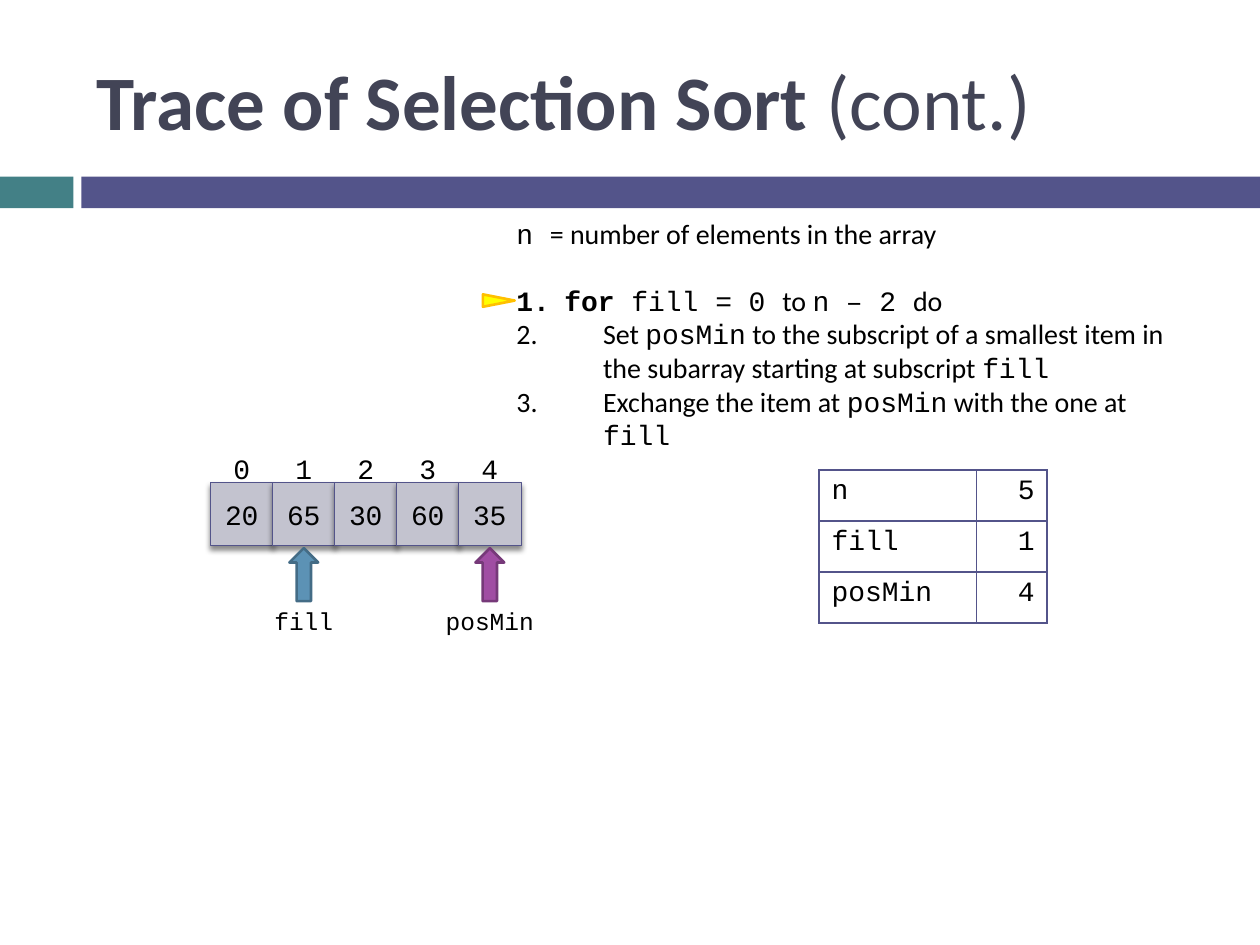
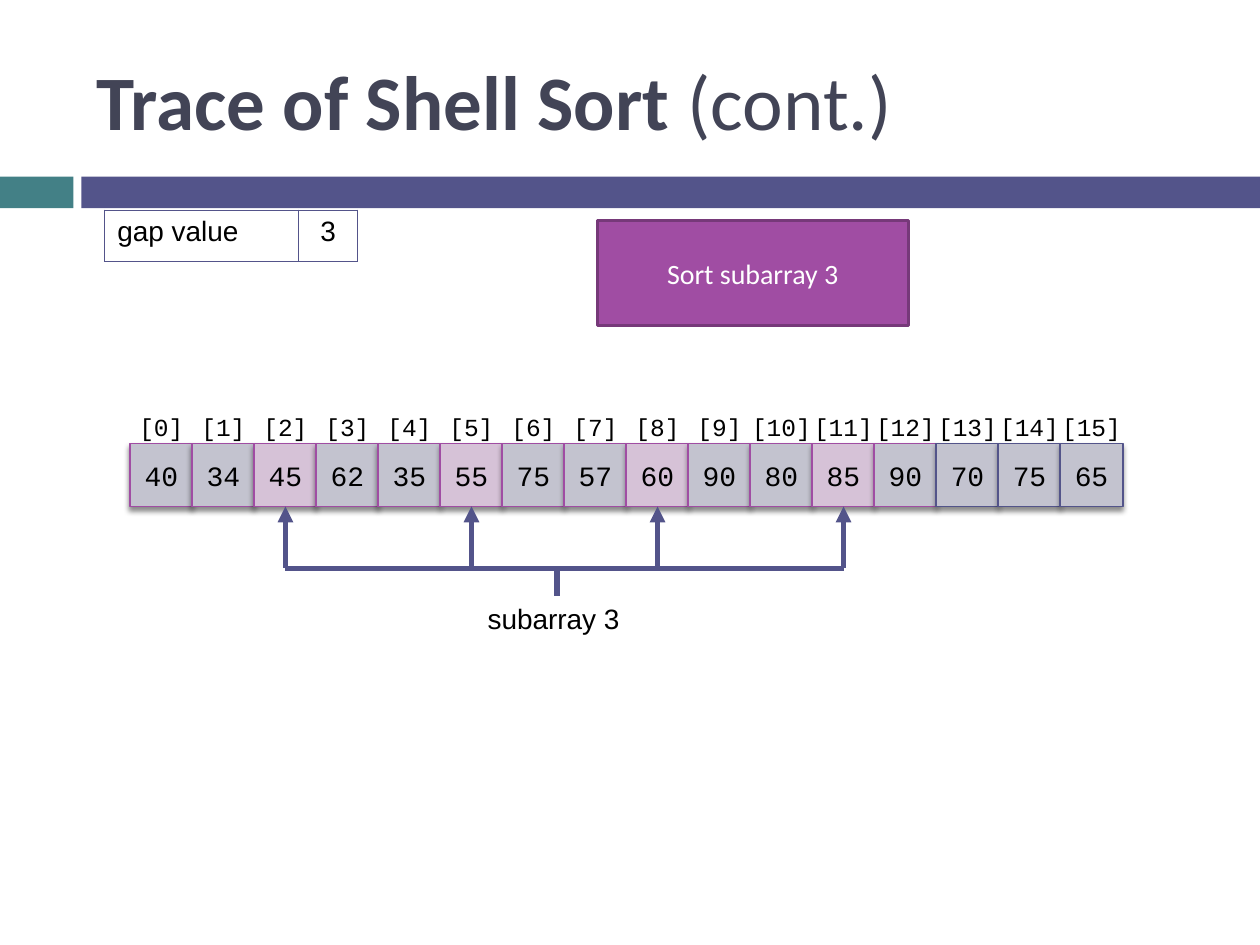
from lxml.etree import SubElement
from pptx import Presentation
from pptx.dml.color import RGBColor
from pptx.enum.shapes import MSO_CONNECTOR, MSO_SHAPE
from pptx.enum.text import MSO_ANCHOR, PP_ALIGN
from pptx.oxml.ns import qn
from pptx.util import Cm, Pt

INK, WHITE, TITLE = "000000", "FFFFFF", "424456"
INDIGO, TEAL, GREY = "53548A", "438086", "C3C3CF"
PURPLE, PLUM, PINK = "A04DA3", "763979", "D6C2D7"
SANS, CODE, ARIAL = "Calibri", "Courier New", "Arial"
LEFT, MID, RIGHT = PP_ALIGN.LEFT, PP_ALIGN.CENTER, PP_ALIGN.RIGHT
SIDE, PITCH = 1.27, 1.25  # array cell size and step, in cm


def color(code):
    return RGBColor.from_string(code)


class Deck:
    def __init__(self):
        self.show = Presentation()
        self.show.slide_width, self.show.slide_height = Cm(25.4), Cm(19.05)
        self.slide = None

    def page(self, title):
        """Start a slide with its bands and title."""
        self.slide = self.show.slides.add_slide(self.show.slide_layouts[6])
        self.shape(MSO_SHAPE.RECTANGLE, 0, 3.56, 1.48, 0.64, TEAL)
        self.shape(MSO_SHAPE.RECTANGLE, 1.64, 3.56, 23.76, 0.64, INDIGO)
        frame = self.box(1.7, 0.64, 22.66, 2.74)
        frame.vertical_anchor = MSO_ANCHOR.MIDDLE
        para = self.style(frame.paragraphs[0], SANS, 44, TITLE)
        self.runs(para, (title + " ", SANS, True), ("(cont.)", SANS, False))

    def style(self, para, face, size=16, ink=INK, align=LEFT):
        para.alignment = align
        font = para.font
        font.size, font.color.rgb = Pt(size), color(ink)
        if face:
            font.name = face
        return para

    def runs(self, para, *parts):
        for text, face, bold in parts:
            run = para.add_run()
            run.text, run.font.name, run.font.bold = text, face, bold

    def box(self, x, y, w, h):
        frame = self.slide.shapes.add_textbox(Cm(x), Cm(y), Cm(w), Cm(h)).text_frame
        frame.word_wrap = True
        return frame

    def label(self, text, x, y, w, face, size=16, align=MID):
        para = self.box(x, y, w, 0.9).paragraphs[0]
        para.text = text
        self.style(para, face, size, align=align)

    def shape(self, kind, x, y, w, h, fill, line=None, width=1.5):
        item = self.slide.shapes.add_shape(kind, Cm(x), Cm(y), Cm(w), Cm(h))
        item.shadow.inherit = False
        item.fill.solid()
        item.fill.fore_color.rgb = color(fill)
        if line:
            item.line.color.rgb, item.line.width = color(line), Pt(width)
        else:
            item.line.fill.background()
        return item

    def block(self, text, face, ink, *args):
        """Draw a rectangle with centred text."""
        item = self.shape(MSO_SHAPE.RECTANGLE, *args)
        frame = item.text_frame
        frame.vertical_anchor = MSO_ANCHOR.MIDDLE
        frame.text = text
        self.style(frame.paragraphs[0], face, 16, ink, MID)
        return item

    def shade(self, item):
        effect = item._element.spPr.find(qn("a:effectLst"))
        outer = SubElement(effect, qn("a:outerShdw"), blurRad="38100",
                           dist="30000", dir="5400000", rotWithShape="0")
        tint = SubElement(outer, qn("a:srgbClr"), val=INK)
        SubElement(tint, qn("a:alpha"), val="45000")

    def array(self, x, y, values, mark, size, looks):
        """Draw a row of cells, each with its index above."""
        cells = []
        for i, value in enumerate(values):
            left = x + i * PITCH
            fill, line = looks(i)
            cell = self.block(str(value), CODE, INK, left, y, SIDE, SIDE, fill, line, 0.79)
            self.shade(cell)
            cells.append(cell)
        for i in range(len(values)):
            mid = x + i * PITCH + SIDE / 2
            self.label(mark.format(i), mid - 1, y - 0.76, 2, CODE, size)
        return cells

    def table(self, x, y, widths, rows, face, align):
        high = 1.03
        grid = self.slide.shapes.add_table(len(rows), len(widths), Cm(x), Cm(y),
                                           Cm(sum(widths)), Cm(high * len(rows))).table
        grid.first_row = grid.horz_banding = False
        for c, width in enumerate(widths):
            grid.columns[c].width = Cm(width)
        for r, row in enumerate(rows):
            for c, text in enumerate(row):
                cell = grid.cell(r, c)
                cell.text = text
                self.style(cell.text_frame.paragraphs[0], face,
                           align=align if c else LEFT)
                self.edge(cell)
                cell.fill.background()

    def edge(self, cell):
        props = cell._tc.get_or_add_tcPr()
        for side in ("lnL", "lnR", "lnT", "lnB"):
            line = SubElement(props, qn("a:" + side), w=str(Pt(1)))
            fill = SubElement(line, qn("a:solidFill"))
            SubElement(fill, qn("a:srgbClr"), val=INDIGO)

    def line(self, x1, y1, x2, y2, cell=None):
        """Draw a thick line; given a cell, point its start at that cell."""
        link = self.slide.shapes.add_connector(
            MSO_CONNECTOR.STRAIGHT, Cm(x1), Cm(y1), Cm(x2), Cm(y2))
        link.line.color.rgb, link.line.width = color(INDIGO), Pt(3)
        if cell is not None:
            link.begin_connect(cell, 2)
            SubElement(link.line._get_or_add_ln(), qn("a:headEnd"), type="triangle")
        SubElement(link._element.spPr, qn("a:effectLst"))

    def step(self, frame, indent, *parts, gap=0):
        """Add a numbered line of pseudocode."""
        para = frame.add_paragraph()
        props = para._p.get_or_add_pPr()
        props.set("marL", str(Cm(indent)))
        props.set("indent", str(-Cm(indent)))
        SubElement(props, qn("a:buFont"), typeface="+mj-lt")
        SubElement(props, qn("a:buAutoNum"), type="arabicPeriod")
        para.space_before = Pt(gap)
        self.runs(self.style(para, None), *parts)


def select(deck):
    deck.page("Trace of Selection Sort")

    # Pseudocode
    frame = deck.box(10.16, 4.24, 14.17, 4.37)
    first = deck.style(frame.paragraphs[0], None)
    deck.runs(first, ("n ", CODE, False),
              ("= number of elements in the array", SANS, False))
    deck.step(frame, 0.97, ("for", CODE, True), (" fill = 0 ", CODE, False),
              ("to ", SANS, False), ("n – 2 ", CODE, False), ("do", SANS, False), gap=19)
    deck.step(frame, 1.75, ("Set ", SANS, False), ("posMin", CODE, False),
              (" to the subscript of a smallest item in the subarray"
               " starting at subscript ", SANS, False), ("fill", CODE, False))
    deck.step(frame, 1.75, ("Exchange the item at ", SANS, False), ("posMin", CODE, False),
              (" with the one at ", SANS, False), ("fill", CODE, False))
    mark = deck.shape(MSO_SHAPE.ISOSCELES_TRIANGLE, 9.93, 5.74, 0.25, 0.64,
                      "FFFF00", "FFC000")
    mark.rotation = 90

    # Array, variables and pointers
    x, y = 4.24, 9.73
    deck.array(x, y, [20, 65, 30, 60, 35], "{}", 16, lambda i: (GREY, INDIGO))
    deck.table(16.51, 9.47, [3.18, 1.42],
               [("n", "5"), ("fill", "1"), ("posMin", "4")], CODE, RIGHT)
    for i, name, fill, line in ((1, "fill", "5C92B5", "446C86"),
                                (4, "posMin", PURPLE, PLUM)):
        mid = x + i * PITCH + SIDE / 2
        deck.shape(MSO_SHAPE.UP_ARROW, mid - 0.29, 11.05, 0.58, 1.07, fill, line)
        deck.label(name, mid - 1.36, 12.09, 2.72, CODE, 14)


def shell(deck):
    deck.page("Trace of Shell Sort")
    picks = range(2, 12, 3)

    # Array with the subarray in pink
    x, y = 2.62, 8.94
    values = [40, 34, 45, 62, 35, 55, 75, 57, 60, 90, 80, 85, 90, 70, 75, 65]
    cells = deck.array(x, y, values, "[{}]", 14, lambda i: (
        PINK if i in picks else GREY, PURPLE if i < 13 else INDIGO))

    # Gap and current task
    deck.table(2.11, 4.24, [3.91, 1.19], [("gap value", "3")], ARIAL, MID)
    deck.block("Sort subarray 3", SANS, WHITE, 12.04, 4.45, 6.27, 2.11, PURPLE, PLUM)

    # Bracket under the subarray
    rail = 11.46
    mids = [x + i * PITCH + SIDE / 2 for i in picks]
    for i, mid in zip(picks, mids):
        deck.line(mid, y + SIDE, mid, rail, cells[i])
    deck.line(mids[0], rail, mids[-1], rail)
    deck.line(11.23, rail, 11.23, 12.01)
    deck.label("subarray 3", 9.58, 12.01, 6.43, ARIAL, align=LEFT)


def main():
    deck = Deck()
    select(deck)
    shell(deck)
    deck.show.save("out.pptx")


if __name__ == "__main__":
    main()
